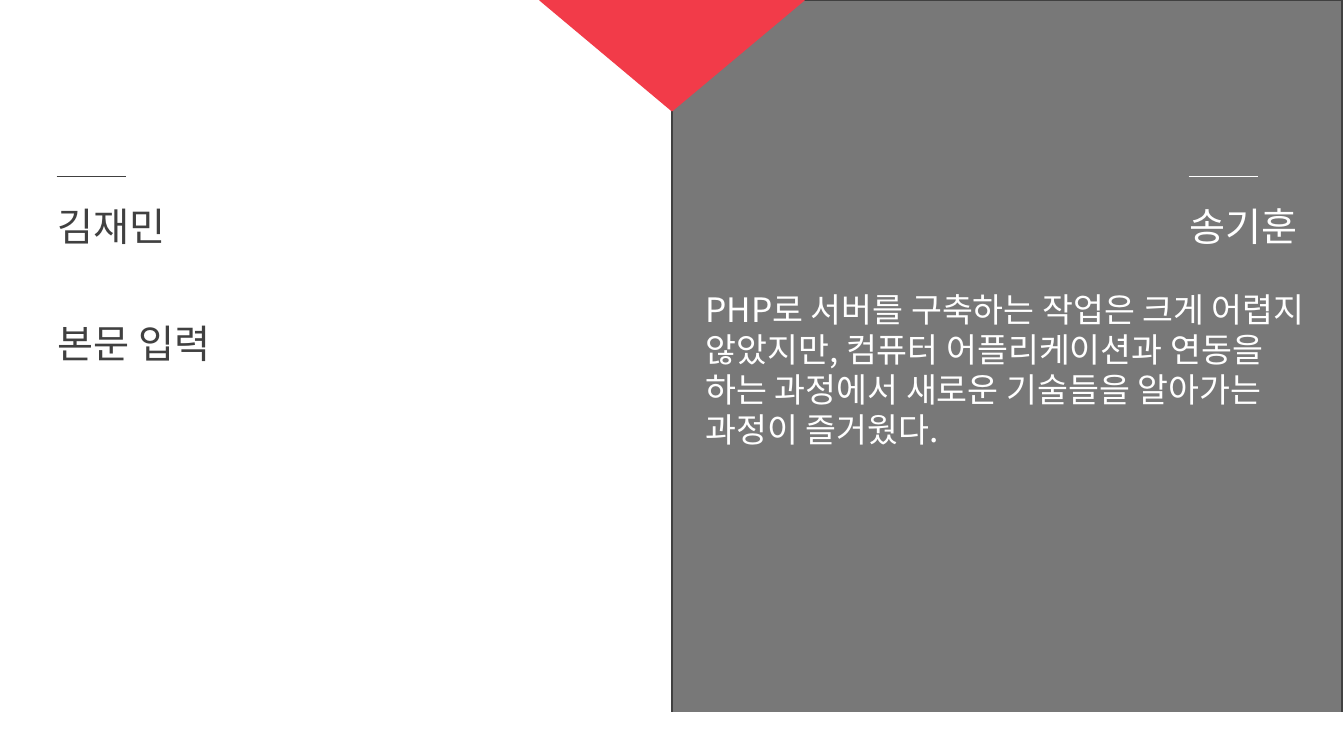
from dataclasses import dataclass

from lxml import etree
from pptx import Presentation
from pptx.dml.color import RGBColor
from pptx.enum.shapes import MSO_CONNECTOR, MSO_SHAPE
from pptx.enum.text import MSO_ANCHOR, MSO_AUTO_SIZE, PP_ALIGN
from pptx.oxml.ns import qn
from pptx.util import Cm, Pt

RECT = MSO_SHAPE.RECTANGLE
WEDGE = MSO_SHAPE.ISOSCELES_TRIANGLE
LINE = MSO_CONNECTOR.STRAIGHT
TOP = MSO_ANCHOR.TOP
LEFT = PP_ALIGN.LEFT
GROW = MSO_AUTO_SIZE.SHAPE_TO_FIT_TEXT


@dataclass(frozen=True)
class Theme:
    dark: RGBColor = RGBColor(0x40, 0x40, 0x40)
    white: RGBColor = RGBColor(0xFF, 0xFF, 0xFF)
    red: RGBColor = RGBColor(0xF2, 0x3B, 0x49)
    font: str = "Noto Sans CJK KR"
    name: int = 28
    body: int = 24


THEME = Theme()
WIDTH, HEIGHT = 33.87, 19.05
HALF = WIDTH / 2


def add_text(slide, slot, box, text, size, color, wrap=False):
    shape = slide.placeholders[slot]
    shape.left, shape.top, shape.width, shape.height = map(Cm, box)
    slide.shapes._spTree.append(shape._element)
    frame = shape.text_frame
    frame.word_wrap = wrap
    frame.auto_size = GROW
    frame.vertical_anchor = TOP
    para = frame.paragraphs[0]
    para.alignment = LEFT
    para.space_before = Pt(0)
    props = para._p.get_or_add_pPr()
    props.set("marL", "0")
    props.set("indent", "0")
    etree.SubElement(props, qn("a:buNone"))
    run = para.add_run()
    run.text = text
    font = run.font
    font.name = THEME.font
    font.size = Pt(size)
    font.bold = False
    font.color.rgb = color
    east = etree.SubElement(run._r.get_or_add_rPr(), qn("a:ea"))
    east.set("typeface", THEME.font)


def add_block(slide, kind, box, fill, line, alpha=None):
    shape = slide.shapes.add_shape(kind, *map(Cm, box))
    shape.shadow.inherit = False
    shape.fill.solid()
    shape.fill.fore_color.rgb = fill
    shape.line.color.rgb = line
    shape.line.width = Pt(1)
    if alpha:
        tint = shape._element.spPr.find(qn("a:solidFill"))[0]
        etree.SubElement(tint, qn("a:alpha")).set("val", str(alpha * 1000))
    return shape


def add_rule(slide, left, top, color):
    rule = slide.shapes.add_connector(
        LINE, Cm(left), Cm(top), Cm(left + 1.75), Cm(top))
    rule.line.color.rgb = color
    rule.line.width = Pt(0.5)
    etree.SubElement(rule._element.spPr, qn("a:effectLst"))


def add_frame(slide, box):
    left, top, width, height = box
    mid = left + width / 2
    add_block(slide, RECT, (mid, top, width / 2 - 0.05, height),
              THEME.dark, THEME.dark, alpha=70)
    wedge = add_block(slide, WEDGE, (mid - 3.33, top, 6.66, 2.79),
                      THEME.red, THEME.red)
    wedge.rotation = 180
    add_block(slide, RECT, (left, top + height - 1.09, width, 1.09),
              THEME.white, THEME.white)


def add_person(slide, box, slot, name, indent, color, body, area, size, wrap):
    left, top = box
    start = left + indent
    add_rule(slide, start + 0.24, top + 4.45, color)
    add_text(slide, slot, (start, top + 4.98, 3.33, 1.45),
             name, THEME.name, color)
    x, y, width, height = area
    add_text(slide, slot + 1, (left + x, top + y, width, height),
             body, size, color, wrap=wrap)


def main():
    deck = Presentation()
    deck.slide_width, deck.slide_height = Cm(WIDTH), Cm(HEIGHT)
    slide = deck.slides.add_slide(deck.slide_layouts[4])
    title = slide.shapes.title._element
    title.getparent().remove(title)

    add_frame(slide, (0, 0, WIDTH, HEIGHT))
    add_person(slide, (0, 0), 1, "김재민", 1.19, THEME.dark,
               "본문 입력", (1.19, 7.92, 4.55, 1.45), THEME.name, False)
    add_person(slide, (HALF, 0), 3, "송기훈", 12.78, THEME.white,
               "PHP로 서버를 구축하는 작업은 크게 어렵지 않았지만, "
               "컴퓨터 어플리케이션과 연동을 하는 과정에서 "
               "새로운 기술들을 알아가는 과정이 즐거웠다.",
               (0.59, 7.14, 16.05, 4.37), THEME.body, True)
    deck.save("out.pptx")


if __name__ == "__main__":
    main()
